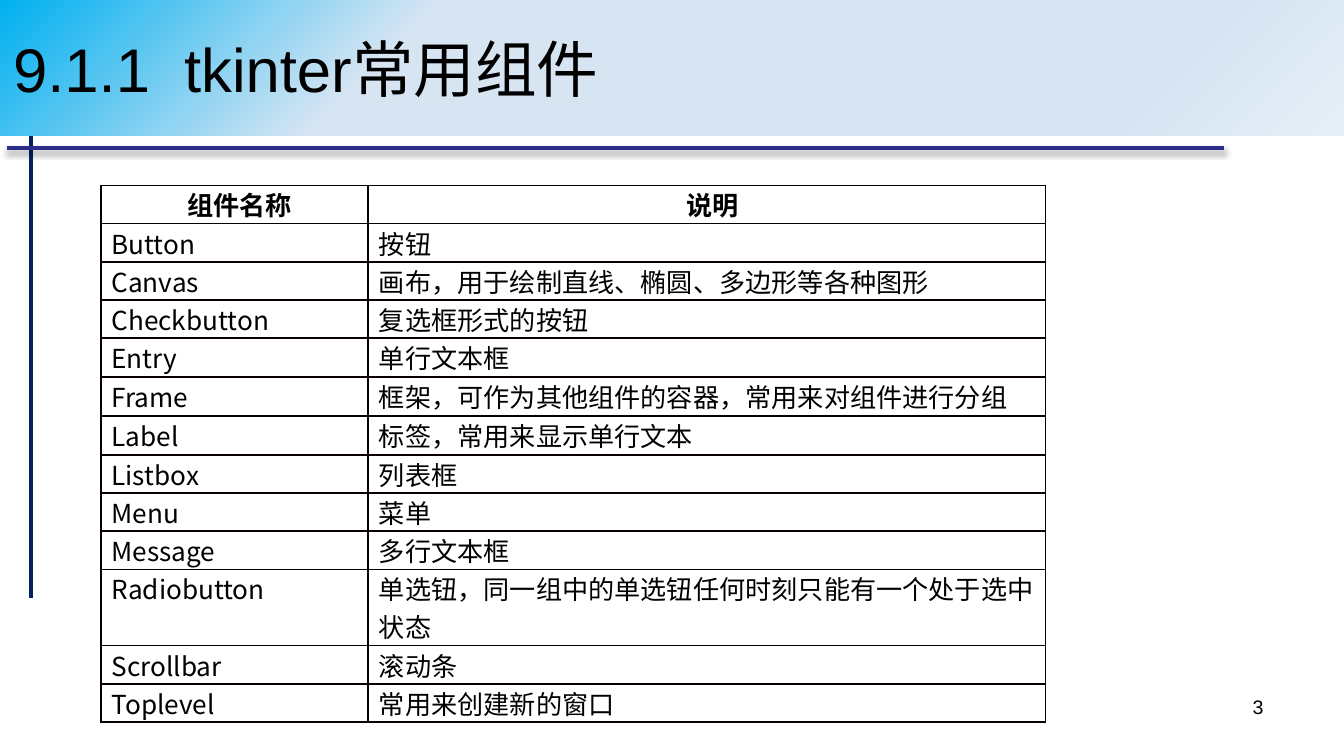
from pptx import Presentation
from pptx.dml.color import RGBColor
from pptx.enum.shapes import MSO_CONNECTOR, MSO_SHAPE
from pptx.enum.text import MSO_ANCHOR, PP_ALIGN
from pptx.oxml import parse_xml
from pptx.oxml.ns import nsdecls, qn
from pptx.util import Inches, Pt

BLACK = RGBColor(0, 0, 0)
NAVY = RGBColor(0x00, 0x20, 0x60)
INDIGO = RGBColor(0x2D, 0x2D, 0x89)
SKY = RGBColor(0x00, 0xB0, 0xF0)
PALE = RGBColor(0xD7, 0xE5, 0xF3)
MIST = RGBColor(0xE5, 0xEE, 0xF7)
BORDER = RGBColor(0x08, 0x00, 0x00)
LATIN, CJK = "Arial", "Noto Sans CJK SC"

ROWS = [
    ("组件名称", "说明"),
    ("Button", "按钮"),
    ("Canvas", "画布，用于绘制直线、椭圆、多边形等各种图形"),
    ("Checkbutton", "复选框形式的按钮"),
    ("Entry", "单行文本框"),
    ("Frame", "框架，可作为其他组件的容器，常用来对组件进行分组"),
    ("Label", "标签，常用来显示单行文本"),
    ("Listbox", "列表框"),
    ("Menu", "菜单"),
    ("Message", "多行文本框"),
    ("Radiobutton", "单选钮，同一组中的单选钮任何时刻只能有一个处于选中状态"),
    ("Scrollbar", "滚动条"),
    ("Toplevel", "常用来创建新的窗口"),
]
HEIGHTS = [0.28] * 4 + [0.29] * 3 + [0.28] * 6


def element(xml):
    """Parse a DrawingML fragment whose root tag ends at the first mark."""
    return parse_xml(xml.replace("@", nsdecls("a"), 1))


def write(p, text, font, size, align=PP_ALIGN.LEFT, bold=False):
    """Write one run of text into a paragraph."""
    r = p.add_run()
    r.text = text
    p.alignment = align
    p.font.name, p.font.size, p.font.bold = font, Pt(size), bold
    p.font.color.rgb = BLACK
    rpr = r.font._element
    rpr.set("lang", "zh-CN")
    rpr.append(element(f'<a:ea @ typeface="{CJK}"/>'))


def add_rule(s, x1, y1, x2, y2, color, shadow=""):
    """Draw a straight rule with an optional shadow."""
    c = s.shapes.add_connector(
        MSO_CONNECTOR.STRAIGHT, Inches(x1), Inches(y1), Inches(x2), Inches(y2))
    c.line.color.rgb, c.line.width = color, Pt(2.25)
    c._element.spPr.append(element(f"<a:effectLst @>{shadow}</a:effectLst>"))


def add_frame(s, x, y):
    """Draw the crossing rules beside and below the title band."""
    shadow = (f'<a:outerShdw blurRad="{Pt(3.1)}" dist="{Pt(1.8)}" dir="5400000" '
              'rotWithShape="0"><a:srgbClr val="000000"><a:alpha val="35000"/>'
              '</a:srgbClr></a:outerShdw>')
    add_rule(s, x + 0.18, y, x + 0.18, y + 3.64, NAVY)
    add_rule(s, x, y + 0.29, x + 9.06, y + 0.29, INDIGO, shadow)


def add_title(s, text, x, y, w, h):
    """Add the title band with its gradient from the top left corner."""
    sp = s.shapes.add_shape(
        MSO_SHAPE.RECTANGLE, Inches(x), Inches(y), Inches(w), Inches(h))
    sp.shadow.inherit = False
    sp.line.fill.background()
    sp.fill.background()
    stops = "".join(
        f'<a:gs pos="{pos * 1000}"><a:srgbClr val="{color}"/></a:gs>'
        for pos, color in ((0, SKY), (30, PALE), (83, PALE), (100, MIST)))
    spPr = sp._element.spPr
    spPr.replace(spPr.find(qn("a:noFill")), element(
        f'<a:gradFill @ rotWithShape="1"><a:gsLst>{stops}</a:gsLst>'
        '<a:path path="circle"><a:fillToRect r="100000" b="100000"/></a:path>'
        '</a:gradFill>'))
    tf = sp.text_frame
    tf.word_wrap, tf.vertical_anchor = True, MSO_ANCHOR.MIDDLE
    write(tf.paragraphs[0], text, LATIN, 33)


def add_borders(cell):
    """Outline a cell on all four sides."""
    tcPr = cell._tc.get_or_add_tcPr()
    for i, side in enumerate(("lnL", "lnR", "lnT", "lnB")):
        tcPr.insert(i, element(
            f'<a:{side} @ w="{Pt(1)}"><a:solidFill><a:srgbClr val="{BORDER}"/>'
            f'</a:solidFill></a:{side}>'))


def add_widget_table(s, rows, x, y, widths, heights):
    """Add the table of widgets, with a bold centred header."""
    t = s.shapes.add_table(
        len(rows), len(widths), Inches(x), Inches(y),
        Inches(sum(widths)), Inches(sum(heights))).table
    t.first_row = t.horz_banding = False
    for col, w in zip(t.columns, widths):
        col.width = Inches(w)
    for i, (row, h) in enumerate(zip(rows, heights)):
        t.rows[i].height = Inches(h)
        for j, text in enumerate(row):
            cell = t.cell(i, j)
            cell.margin_left = Inches(0.08)
            cell.margin_right = cell.margin_top = cell.margin_bottom = 0
            cell.fill.background()
            add_borders(cell)
            align = PP_ALIGN.LEFT if i else PP_ALIGN.CENTER
            write(cell.text_frame.paragraphs[0], text, CJK, 14, align, i == 0)


def add_page_number(s, text, x, y, w, h):
    """Add the right-aligned page number."""
    tf = s.shapes.add_textbox(
        Inches(x), Inches(y), Inches(w), Inches(h)).text_frame
    tf.word_wrap = True
    write(tf.paragraphs[0], text, LATIN, 10.5, PP_ALIGN.RIGHT)


def main():
    """Build and save the slide."""
    prs = Presentation()
    prs.slide_width, prs.slide_height = Inches(10), Inches(10 * 9 / 16)
    s = prs.slides.add_slide(prs.slide_layouts[6])
    add_frame(s, 0.05, 0.81)
    add_title(s, "9.1.1  tkinter常用组件", 0, 0, 10, 1.01)
    add_widget_table(s, ROWS, 0.75, 1.38, (1.99, 5.04), HEIGHTS)
    add_page_number(s, "3", 7.17, 5.12, 2.33, 0.39)
    prs.save("out.pptx")


main()
